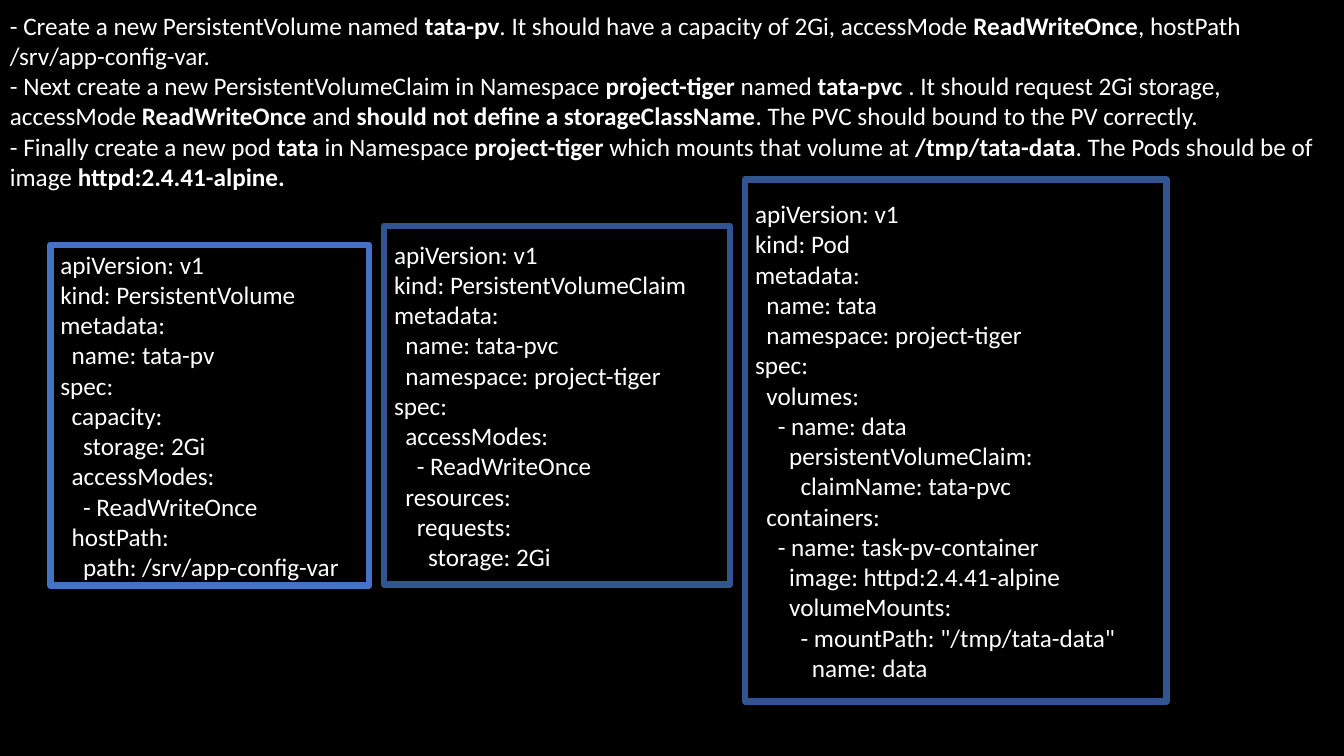
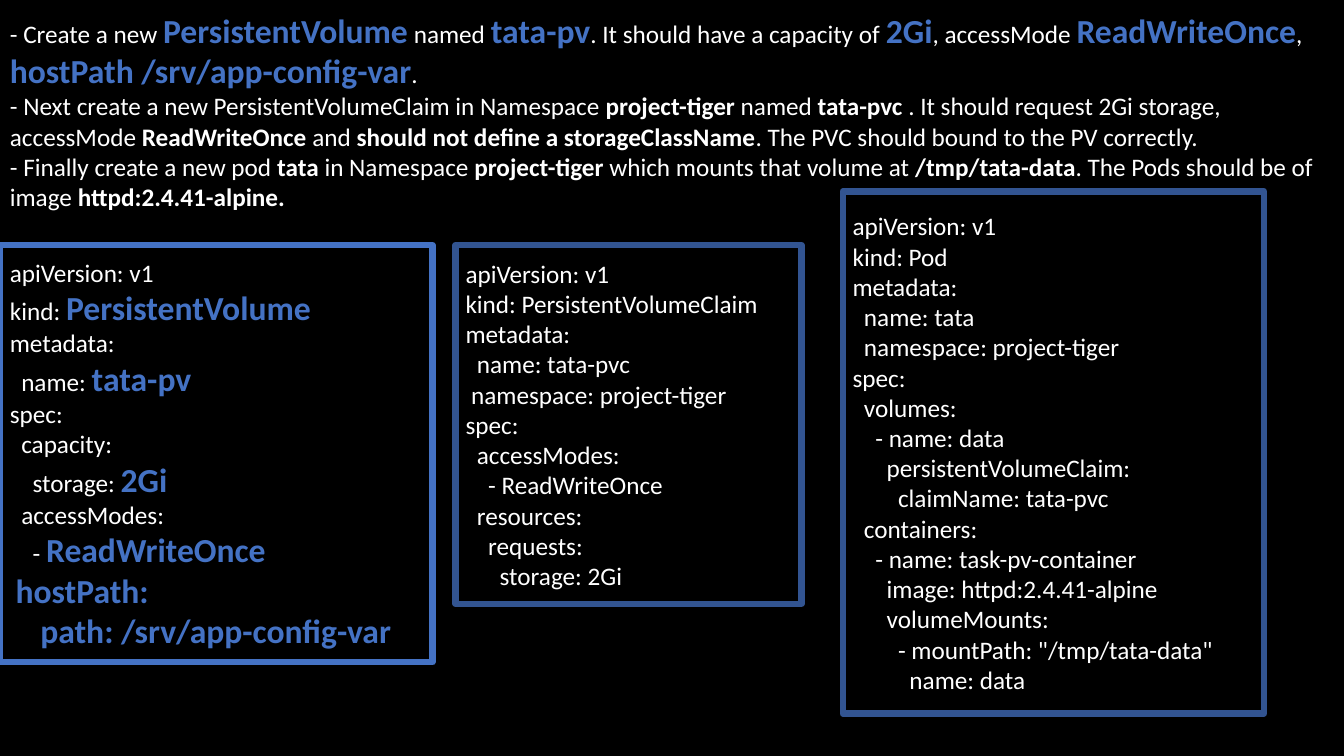
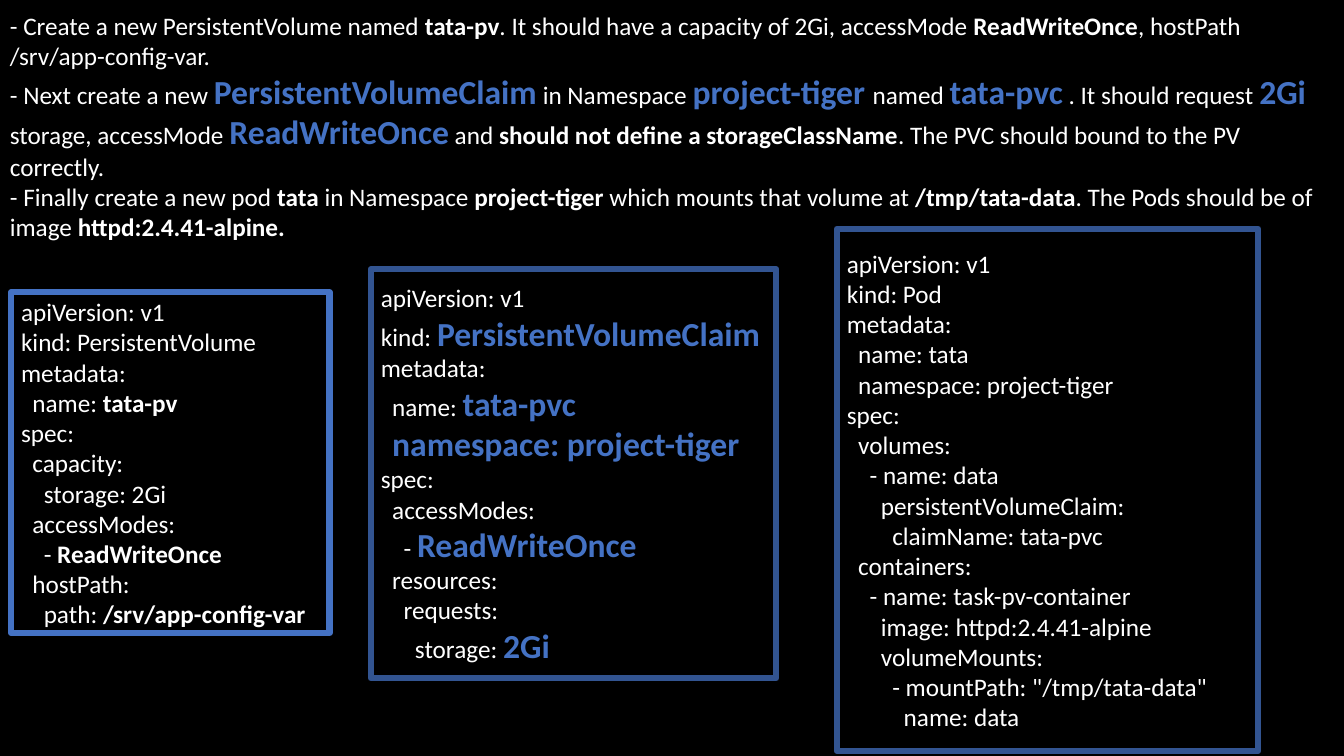
from pptx import Presentation
from pptx.dml.color import RGBColor
from pptx.enum.shapes import MSO_SHAPE
from pptx.enum.text import MSO_ANCHOR, MSO_AUTO_SIZE, PP_ALIGN
from pptx.util import Inches, Pt

BLACK = RGBColor(0x00, 0x00, 0x00)
WHITE = RGBColor(0xFF, 0xFF, 0xFF)
BLUE = RGBColor(0x44, 0x72, 0xC4)
DARK_BLUE = RGBColor(0x32, 0x54, 0x91)
WIDTH, HEIGHT = Inches(13.33), Inches(7.5)

# Text styles: * wraps bold words, ^ wraps highlighted words
BOLD, HIGHLIGHT = "*", "^"
NORMAL_FORMAT = {"name": "Calibri", "size": Pt(18), "bold": False}
BOLD_FORMAT = {**NORMAL_FORMAT, "bold": True}
HIGHLIGHT_FORMAT = {**NORMAL_FORMAT, "size": Pt(24), "bold": True}

# Manifests
VOLUME = """apiVersion: v1
kind: PersistentVolume
metadata:
  name: tata-pv
spec:
  capacity:
    storage: 2Gi
  accessModes:
    - ReadWriteOnce
  hostPath:
    path: /srv/app-config-var"""

CLAIM = """apiVersion: v1
kind: PersistentVolumeClaim
metadata:
  name: tata-pvc
  namespace: project-tiger
spec:
  accessModes:
    - ReadWriteOnce
  resources:
    requests:
      storage: 2Gi"""

POD = """apiVersion: v1
kind: Pod
metadata:
  name: tata
  namespace: project-tiger
spec:
  volumes:
    - name: data
      persistentVolumeClaim:
        claimName: tata-pvc
  containers:
    - name: task-pv-container
      image: httpd:2.4.41-alpine
      volumeMounts:
        - mountPath: "/tmp/tata-data"
          name: data"""

# Task sentences
VOLUME_TASK = ("- Create a new PersistentVolume named tata-pv. It should have a capacity of 2Gi, "
               "accessMode ReadWriteOnce, hostPath /srv/app-config-var.")
CLAIM_TASK = ("- Next create a new PersistentVolumeClaim in Namespace project-tiger named tata-pvc . "
              "It should request 2Gi storage, accessMode ReadWriteOnce and "
              "should not define a storageClassName. The PVC should bound to the PV correctly.")
POD_TASK = ("- Finally create a new pod tata in Namespace project-tiger which mounts that volume at "
            "/tmp/tata-data. The Pods should be of image httpd:2.4.41-alpine.")


def mark(text, sign, *phrases):
    """Wrap the first occurrence of each phrase in the sign."""
    for phrase in phrases:
        text = text.replace(phrase, sign + phrase + sign, 1)
    return text


NO_CLASS = "should not define a storageClassName"
VOLUME_TASK_BOLD = mark(VOLUME_TASK, BOLD, "tata-pv", "ReadWriteOnce")
CLAIM_TASK_BOLD = mark(CLAIM_TASK, BOLD, "project-tiger", "tata-pvc", "ReadWriteOnce", NO_CLASS)
POD_TASK_BOLD = mark(POD_TASK, BOLD, "tata", "project-tiger", "/tmp/tata-data", "httpd:2.4.41-alpine.")

# Boxes are left, top, width, height in percent of the slide
STEPS = [
    {   # Overview
        "tasks": [VOLUME_TASK_BOLD, CLAIM_TASK_BOLD, POD_TASK_BOLD],
        "tasks_height": 25.6,
        "manifests": [
            (POD, (55.44, 23.73, 31.35, 69.07), DARK_BLUE),
            (CLAIM, (28.58, 29.87, 25.73, 47.47), DARK_BLUE),
            (VOLUME, (3.75, 32.4, 23.7, 45.07), BLUE),
        ],
    },
    {   # Volume in focus
        "tasks": [mark(VOLUME_TASK, HIGHLIGHT, "PersistentVolume", "tata-pv", "2Gi",
                       "ReadWriteOnce", "hostPath /srv/app-config-var"),
                  CLAIM_TASK_BOLD, POD_TASK_BOLD],
        "tasks_height": 28.27,
        "manifests": [
            (POD, (62.7, 25.33, 31.35, 69.07), DARK_BLUE),
            (CLAIM.replace("  namespace", " namespace"), (33.9, 32.4, 25.73, 47.47), DARK_BLUE),
            (mark(VOLUME.replace("  hostPath", " hostPath"), HIGHLIGHT, "PersistentVolume",
                  "tata-pv", "2Gi", "ReadWriteOnce", "hostPath:", "    path: /srv/app-config-var"),
             (0, 32.4, 32.18, 55.2), BLUE),
        ],
    },
    {   # Claim in focus
        "tasks": [VOLUME_TASK_BOLD,
                  mark(mark(CLAIM_TASK, HIGHLIGHT, "PersistentVolumeClaim", "project-tiger ",
                            "tata-pvc", "2Gi ", "ReadWriteOnce"), BOLD, NO_CLASS),
                  POD_TASK_BOLD],
        "tasks_height": 32.27,
        "manifests": [
            (POD, (62.27, 30.27, 31.35, 69.07), DARK_BLUE),
            (mark(CLAIM, HIGHLIGHT, "PersistentVolumeClaim", "tata-pvc",
                  "namespace: project-tiger", "ReadWriteOnce", "2Gi"),
             (27.6, 35.6, 30.15, 54.13), DARK_BLUE),
            (mark(VOLUME, BOLD, "tata-pv", "ReadWriteOnce", "/srv/app-config-var"),
             (0.83, 38.67, 23.7, 45.07), BLUE),
        ],
    },
]


def place(box):
    """Turn percent shares into slide lengths."""
    return [int(share * side / 100) for share, side in zip(box, (WIDTH, HEIGHT) * 2)]


def add_run(paragraph, text, formats, color):
    if not text:
        return
    run = paragraph.add_run()
    run.text = text
    for attribute, value in formats.items():
        setattr(run.font, attribute, value)
    run.font.color.rgb = color


def write_lines(frame, lines):
    frame.word_wrap = True
    for number, line in enumerate(lines):
        paragraph = frame.add_paragraph() if number else frame.paragraphs[0]
        paragraph.alignment = PP_ALIGN.LEFT
        for i, part in enumerate(line.split(HIGHLIGHT)):
            if i % 2:
                add_run(paragraph, part, HIGHLIGHT_FORMAT, BLUE)
                continue
            for j, words in enumerate(part.split(BOLD)):
                add_run(paragraph, words, BOLD_FORMAT if j % 2 else NORMAL_FORMAT, WHITE)


def add_manifest(slide, manifest, box, border):
    panel = slide.shapes.add_shape(MSO_SHAPE.RECTANGLE, *place(box))
    panel.shadow.inherit = False
    panel.fill.background()
    panel.line.color.rgb = border
    panel.line.width = Pt(4.5)
    panel.text_frame.vertical_anchor = MSO_ANCHOR.MIDDLE
    write_lines(panel.text_frame, manifest.split("\n"))


def add_tasks(slide, tasks, height):
    brief = slide.shapes.add_textbox(*place((0, 0.67, 100, height)))
    write_lines(brief.text_frame, tasks)
    brief.text_frame.auto_size = MSO_AUTO_SIZE.SHAPE_TO_FIT_TEXT


def add_step(deck, step):
    slide = deck.slides.add_slide(deck.slide_layouts[6])
    for manifest, box, border in step["manifests"]:
        add_manifest(slide, manifest, box, border)
    add_tasks(slide, step["tasks"], step["tasks_height"])


def main():
    deck = Presentation()
    deck.slide_width, deck.slide_height = WIDTH, HEIGHT
    backdrop = deck.slide_master.background.fill
    backdrop.solid()
    backdrop.fore_color.rgb = BLACK
    for step in STEPS:
        add_step(deck, step)
    deck.save("out.pptx")


if __name__ == "__main__":
    main()
